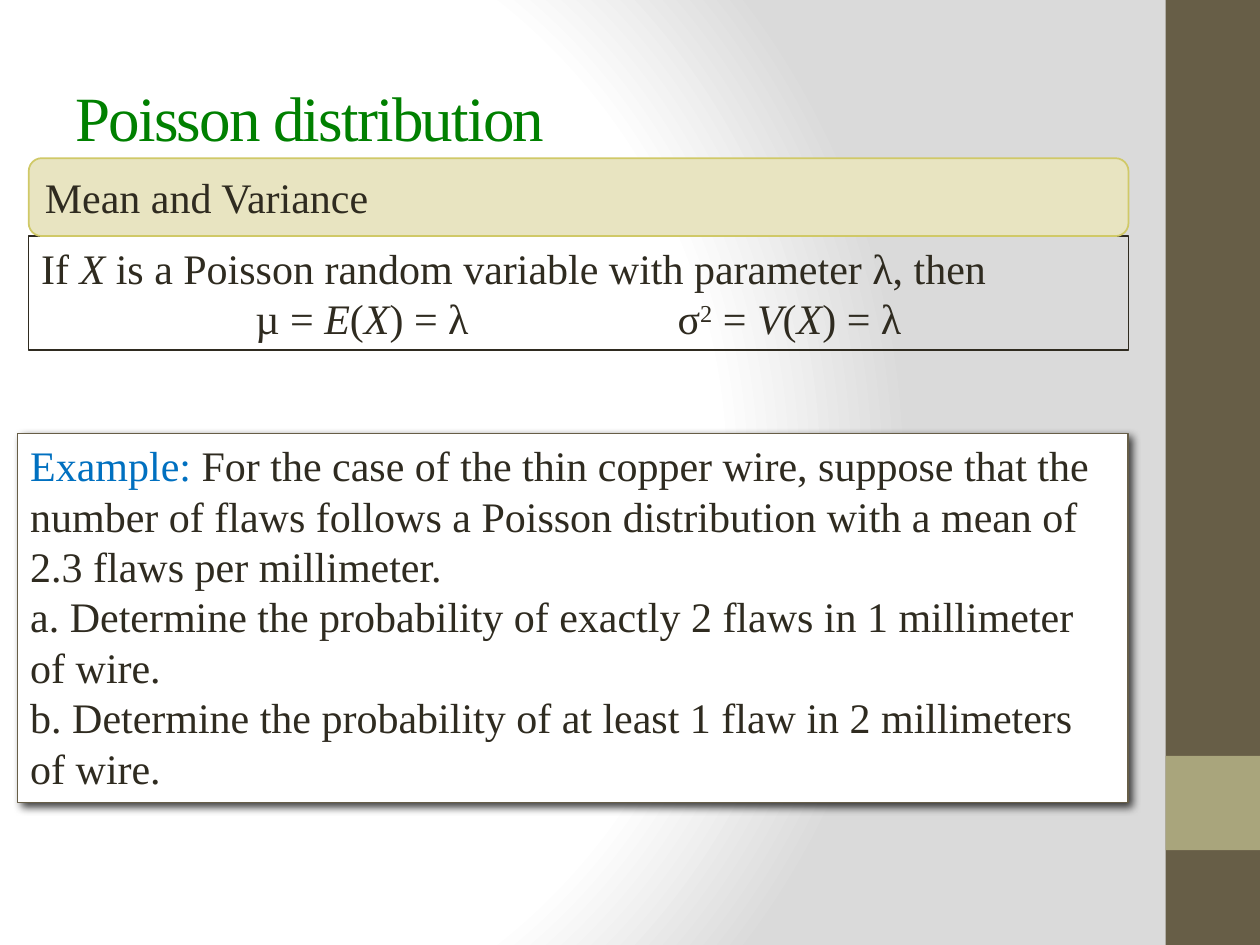
from lxml.etree import SubElement
from pptx import Presentation
from pptx.dml.color import RGBColor
from pptx.enum.shapes import MSO_SHAPE
from pptx.enum.text import MSO_ANCHOR, PP_ALIGN
from pptx.oxml import parse_xml
from pptx.oxml.ns import nsdecls, qn
from pptx.util import Cm, Pt

FONT = "Times New Roman"
INK, BROWN, OLIVE = "2F2B20", "675E47", "A9A57C"


def color(hex_code):
    return RGBColor.from_string(hex_code)


def add_box(slide, box, fill=None, line=None, width=0.75, kind=MSO_SHAPE.RECTANGLE):
    shape = slide.shapes.add_shape(kind, *map(Cm, box))
    shape.shadow.inherit = False
    if fill:
        shape.fill.solid()
        shape.fill.fore_color.rgb = color(fill)
    else:
        shape.fill.background()
    if line:
        shape.line.color.rgb = color(line)
        shape.line.width = Pt(width)
    else:
        shape.line.fill.background()
    return shape


def write(shape, paragraphs, size=24, anchor=MSO_ANCHOR.TOP):
    """Fill the shape with paragraphs, each a list of (text, style) runs.

    Style is "" for plain, "i" for italic, "sup" for superscript, or a hex colour.
    """
    frame = shape.text_frame
    frame.word_wrap = True
    frame.vertical_anchor = anchor
    frame.text = "\n" * (len(paragraphs) - 1)
    for paragraph, runs in zip(frame.paragraphs, paragraphs):
        paragraph.alignment = PP_ALIGN.LEFT
        for text, style in runs:
            run = paragraph.add_run()
            run.text = text
            run.font.name = FONT
            run.font.size = Pt(size)
            run.font.italic = style == "i"
            run.font.color.rgb = color(style if len(style) == 6 else INK)
            if style == "sup":
                run.font._element.set("baseline", "30000")
    return frame.paragraphs


def add_background(slide):
    """White glow from the left that fades to grey."""
    slide.background.fill.gradient()
    properties = slide.background._cSld.bg.bgPr
    stops = "".join(
        f'<a:gs pos="{position}"><a:srgbClr val="{shade}"/></a:gs>'
        for position, shade in ((0, "FFFFFF"), (75000, "FFFFFF"), (100000, "DADADA"))
    )
    glow = parse_xml(
        f'<a:gradFill {nsdecls("a")} rotWithShape="1"><a:gsLst>{stops}</a:gsLst>'
        '<a:path path="circle">'
        '<a:fillToRect l="20000" t="50000" r="100000" b="50000"/></a:path></a:gradFill>'
    )
    properties.replace(properties.find(qn("a:gradFill")), glow)


def add_side_band(slide, left, top, width, height):
    add_box(slide, (left, top, width, height), BROWN)
    add_box(slide, (left, top + 0.8 * height, width, width), OLIVE)


def add_title(slide, left, top, width, height):
    title = slide.shapes.add_textbox(*map(Cm, (left, top, width, height)))
    heading, = write(title, [[("Poisson distribution", "008000")]], 36, MSO_ANCHOR.MIDDLE)
    heading.runs[0].font._element.set("spc", "-100")


def add_theorem(slide, left, top, width, height, header_height):
    """Statement box under a rounded header."""
    statement = add_box(
        slide, (left, top + header_height, width, height - header_height), line=INK
    )
    _, formulas = write(statement, [
        [("If ", ""), ("X ", "i"),
         ("is a Poisson random variable with parameter λ, then", "")],
        [("\tµ = ", ""), ("E", "i"), ("(", ""), ("X", "i"), (") = λ\tσ", ""),
         ("2", "sup"), (" = ", ""), ("V", "i"), ("(", ""), ("X", "i"), (") = λ", "")],
    ])
    tabs = SubElement(formulas._p.get_or_add_pPr(), qn("a:tabLst"))
    for stop in (4.32, 12.83):
        SubElement(tabs, qn("a:tab"), pos=str(Cm(stop)), algn="l")

    header = add_box(slide, (left, top, width, header_height), "E8E4C1", "D0C967", 1,
                     MSO_SHAPE.ROUNDED_RECTANGLE)
    label, = write(header, [[("Mean and Variance", "")]], anchor=MSO_ANCHOR.MIDDLE)
    label.space_before = Pt(4.8)


def add_example(slide, left, top, width, height):
    example = add_box(slide, (left, top, width, height), "FFFFFF", BROWN)
    write(example, [
        [("Example:", "0070C0"),
         (" For the case of the thin copper wire, suppose that the number of flaws "
          "follows a Poisson distribution with a mean of 2.3 flaws per millimeter.", "")],
        [("a. Determine the probability of exactly 2 flaws in 1 millimeter of wire.", "")],
        [("b. Determine the probability of at least 1 flaw in 2 millimeters of wire.", "")],
    ])
    effects = example._element.spPr.find(qn("a:effectLst"))
    shadow = SubElement(effects, qn("a:outerShdw"), blurRad=str(Pt(5)), dist=str(Pt(3)),
                        dir="2700000", algn="tl", rotWithShape="0")
    black = SubElement(shadow, qn("a:srgbClr"), val="000000")
    SubElement(black, qn("a:alpha"), val="75000")


def main():
    deck = Presentation()
    deck.slide_width, deck.slide_height = Cm(25.4), Cm(19.05)
    slide = deck.slides.add_slide(deck.slide_layouts[6])
    add_background(slide)
    add_side_band(slide, 23.5, 0, 1.9, 19.05)
    add_title(slide, 1.27, 0.76, 21.16, 3.18)
    add_example(slide, 0.36, 8.74, 22.38, 7.44)
    add_theorem(slide, 0.58, 3.19, 22.17, 3.87, header_height=1.57)
    deck.save("out.pptx")


if __name__ == "__main__":
    main()
